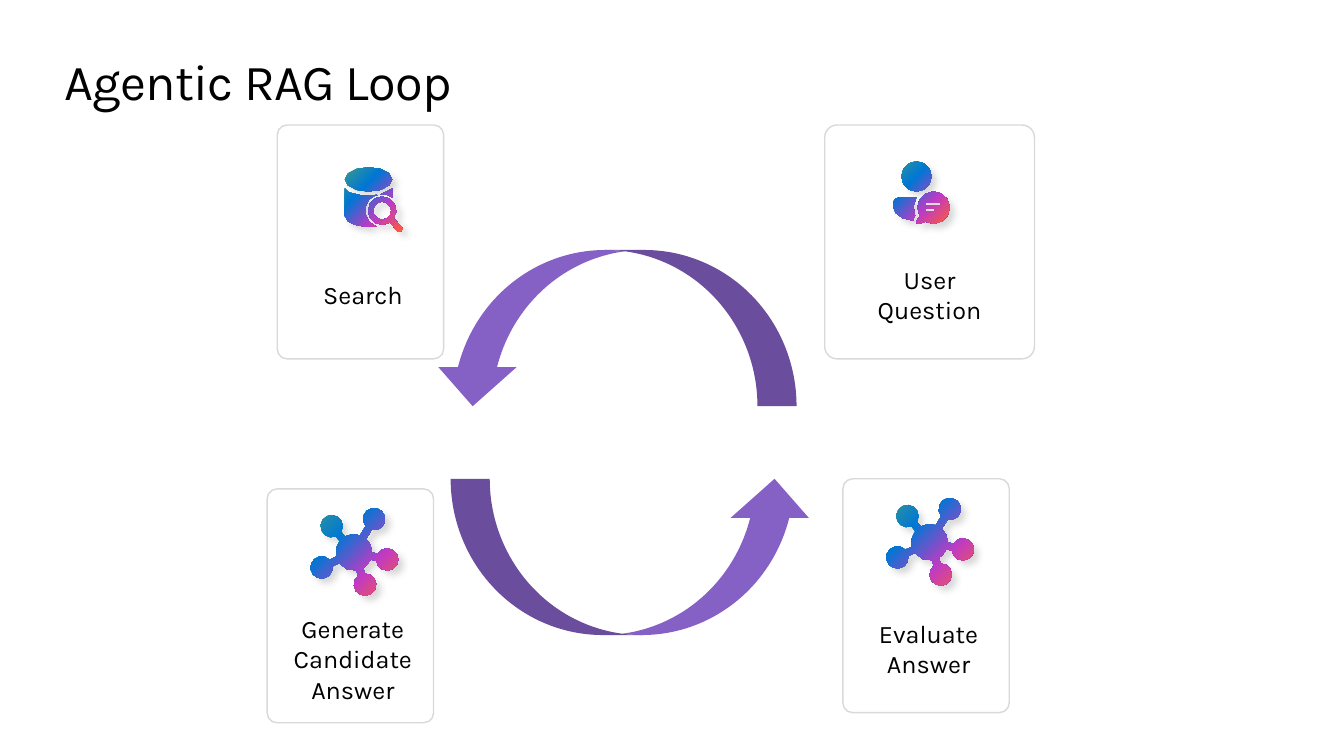
from math import asin, atan2, cos, hypot, pi, sin

from lxml import etree
from pptx import Presentation
from pptx.dml.color import RGBColor
from pptx.enum.shapes import MSO_SHAPE
from pptx.enum.text import MSO_ANCHOR, MSO_AUTO_SIZE, PP_ALIGN
from pptx.oxml import parse_xml
from pptx.oxml.ns import nsdecls, qn
from pptx.util import Inches, Pt

ROUNDED = MSO_SHAPE.ROUNDED_RECTANGLE
UP_ARROW = MSO_SHAPE.CURVED_UP_ARROW
MIDDLE = MSO_ANCHOR.MIDDLE
CENTER = PP_ALIGN.CENTER
GROW = MSO_AUTO_SIZE.SHAPE_TO_FIT_TEXT

FONT = "Karla"
COLORS = {
    "text": "000000", "card": "FFFFFF", "border": "D9D9D6", "arrow": "8661C5",
    "shadow": "454142", "red": "FF5C39", "magenta": "C03BC4",
    "blue": "0078D4", "teal": "399A91",
}
ICON_STOPS = [(0, "red"), (32, "magenta"), (68, "blue"), (100, "teal")]


def rgb(name):
    return RGBColor.from_string(COLORS[name])


def arc(cx, cy, rx, start=0, end=2 * pi, ry=None):
    """Points along an arc; angles grow clockwise on the slide."""
    ry = rx if ry is None else ry
    steps = max(2, round(abs(end - start) / (pi / 6)))
    angles = [start + (end - start) * i / steps for i in range(steps + 1)]
    return [(cx + rx * cos(a), cy + ry * sin(a)) for a in angles]


def add_text(slide, box, lines, size):
    frame = slide.shapes.add_textbox(*map(Inches, box)).text_frame
    frame.word_wrap = True
    frame.text = "\n".join(lines)
    for paragraph in frame.paragraphs:
        for run in paragraph.runs:
            run.font.size = Pt(size)
            run.font.name = FONT
            run.font.color.rgb = rgb("text")
    return frame


def add_title(slide, box, title):
    frame = add_text(slide, box, [title], 36)
    frame.margin_left = frame.margin_right = 0
    frame.margin_top = frame.margin_bottom = 0
    frame.auto_size = GROW
    frame.paragraphs[0].runs[0]._r.get_or_add_rPr().set("spc", "-50")


def add_loop_arrow(slide, box, rotation):
    arrow = slide.shapes.add_shape(UP_ARROW, *map(Inches, box))
    arrow.rotation = rotation
    arrow.fill.solid()
    arrow.fill.fore_color.rgb = rgb("arrow")
    arrow.line.fill.background()
    arrow.shadow.inherit = False


def add_icon(slide, left, top, contours):
    """Draw contours, given relative to left and top, as one gradient shape."""
    placed = [[(Inches(left + x), Inches(top + y)) for x, y in contour]
              for contour in contours]
    builder = slide.shapes.build_freeform(*placed[0][0], scale=1.0)
    for number, points in enumerate(placed):
        if number:
            builder.move_to(*points[0])
        builder.add_line_segments(points[1:], close=True)
    icon = builder.convert_to_shape()
    icon.fill.solid()
    icon.line.fill.background()
    icon.shadow.inherit = False

    stops = "".join(
        f'<a:gs pos="{pos * 1000}"><a:srgbClr val="{COLORS[name]}"/></a:gs>'
        for pos, name in ICON_STOPS)
    gradient = parse_xml(
        f'<a:gradFill {nsdecls("a")}><a:gsLst>{stops}</a:gsLst>'
        '<a:path path="circle"><a:fillToRect l="100000" t="100000"/></a:path>'
        '</a:gradFill>')
    properties = icon._element.spPr
    properties.replace(properties.find(qn("a:solidFill")), gradient)
    shadow = etree.SubElement(
        properties.find(qn("a:effectLst")), qn("a:outerShdw"),
        blurRad=str(Pt(5)), dist=str(Pt(5)), dir="2700000", algn="tl")
    shade = etree.SubElement(shadow, qn("a:srgbClr"), val=COLORS["shadow"])
    etree.SubElement(shade, qn("a:alpha"), val="20000")


def search_contours():
    """A database cylinder behind a magnifying glass."""
    lens_x, lens_y = 0.37, 0.43
    lid = arc(0.235, 0.12, 0.235, ry=0.12)
    body = (arc(0.235, 0.21, 0.235, pi, 0.62 * pi, ry=0.07)
            + [(0.32, 0.28)]
            + arc(lens_x, lens_y, 0.17, 1.4 * pi, 0.6 * pi)
            + arc(0.235, 0.48, 0.235, 0.4 * pi, pi, ry=0.11))
    side = [(0.35, 0.27), (0.42, 0.24), (0.47, 0.21), (0.47, 0.3), (0.41, 0.27)]
    glass = (arc(lens_x, lens_y, 0.14, 0.31 * pi, 2.19 * pi)
             + arc(0.54, 0.61, 0.03, -0.25 * pi, 0.75 * pi))
    opening = arc(lens_x, lens_y, 0.09, 2 * pi, 0)
    return [lid, body, side, glass, opening]


def question_contours():
    """A person with a speech bubble that holds two lines."""
    bubble_x, bubble_y = 0.4, 0.46
    head = arc(0.23, 0.15, 0.15)
    body = (arc(0.06, 0.42, 0.06, 1.5 * pi, pi)
            + arc(0.23, 0.45, 0.23, pi, 0.55 * pi, ry=0.14)
            + arc(bubble_x, bubble_y, 0.2, 0.87 * pi, 1.17 * pi))
    bubble = (arc(bubble_x, bubble_y, 0.16, -1.17 * pi, 0.66 * pi)
              + [(0.25, 0.62), (0.23, 0.61), (0.23, 0.6)])
    lines = [[(0.32, y), (0.32, y + 0.03), (end, y + 0.03), (end, y)]
             for end, y in [(0.47, 0.41), (0.41, 0.47)]]
    return [head, body, bubble, *lines]


def network_contours():
    """A hub joined by spokes to five nodes, as one outline."""
    hub_x, hub_y, hub_r, node_r, half_spoke = 0.43, 0.44, 0.18, 0.11, 0.035
    nodes = [(-0.22, -0.26), (0.2, -0.33), (0.33, 0.07), (0.11, 0.32), (-0.32, 0.15)]
    at_hub, at_node = asin(half_spoke / hub_r), asin(half_spoke / node_r)
    angles = [atan2(dy, dx) for dx, dy in nodes]
    following = angles[1:] + [angles[0] + 2 * pi]
    outline = []
    for (dx, dy), angle, next_angle in zip(nodes, angles, following):
        reach = hypot(dx, dy)
        outline += arc(hub_x + reach * cos(angle), hub_y + reach * sin(angle), node_r,
                       angle - pi + at_node, angle + pi - at_node)
        outline += arc(hub_x, hub_y, hub_r, angle + at_hub, next_angle - at_hub)
    return [outline]


def add_card(slide, box, lines, label_left, contours, icon_left, icon_top):
    left, top, width, height = box
    card = slide.shapes.add_shape(ROUNDED, *map(Inches, box))
    card.adjustments[0] = 0.059
    card.fill.solid()
    card.fill.fore_color.rgb = rgb("card")
    card.line.color.rgb = rgb("border")
    card.line.width = Pt(1)
    card.shadow.inherit = False
    label = add_text(slide, (left + label_left, top + 1.27, 1.4, 0.83), lines, 18)
    label.vertical_anchor = MIDDLE
    for paragraph in label.paragraphs:
        paragraph.alignment = CENTER
    add_icon(slide, left + icon_left, top + icon_top, contours)


def add_rag_loop(slide):
    add_title(slide, (0.64, 0.5, 12.05, 0.61), "Agentic RAG Loop")
    add_loop_arrow(slide, (4.47, 4.75, 3.6, 1.55), 0)
    add_loop_arrow(slide, (4.3, 2.48, 3.6, 1.55), 180)
    network = network_contours()
    steps = [
        (8.18, 1.24, 2.08, ["User", "Question"], 0.34, question_contours(), 0.68, 0.36),
        (2.75, 1.24, 1.65, ["Search"], 0.15, search_contours(), 0.67, 0.42),
        (2.65, 4.85, 1.65, ["Generate Candidate Answer"], 0.15, network, 0.43, 0.19),
        (8.36, 4.75, 1.65, ["Evaluate Answer"], 0.15, network, 0.43, 0.19),
    ]
    for left, top, width, *content in steps:
        add_card(slide, (left, top, width, 2.32), *content)


def main():
    deck = Presentation()
    deck.slide_width, deck.slide_height = Inches(13.33), Inches(7.5)
    add_rag_loop(deck.slides.add_slide(deck.slide_layouts[6]))
    deck.save("out.pptx")


if __name__ == "__main__":
    main()
